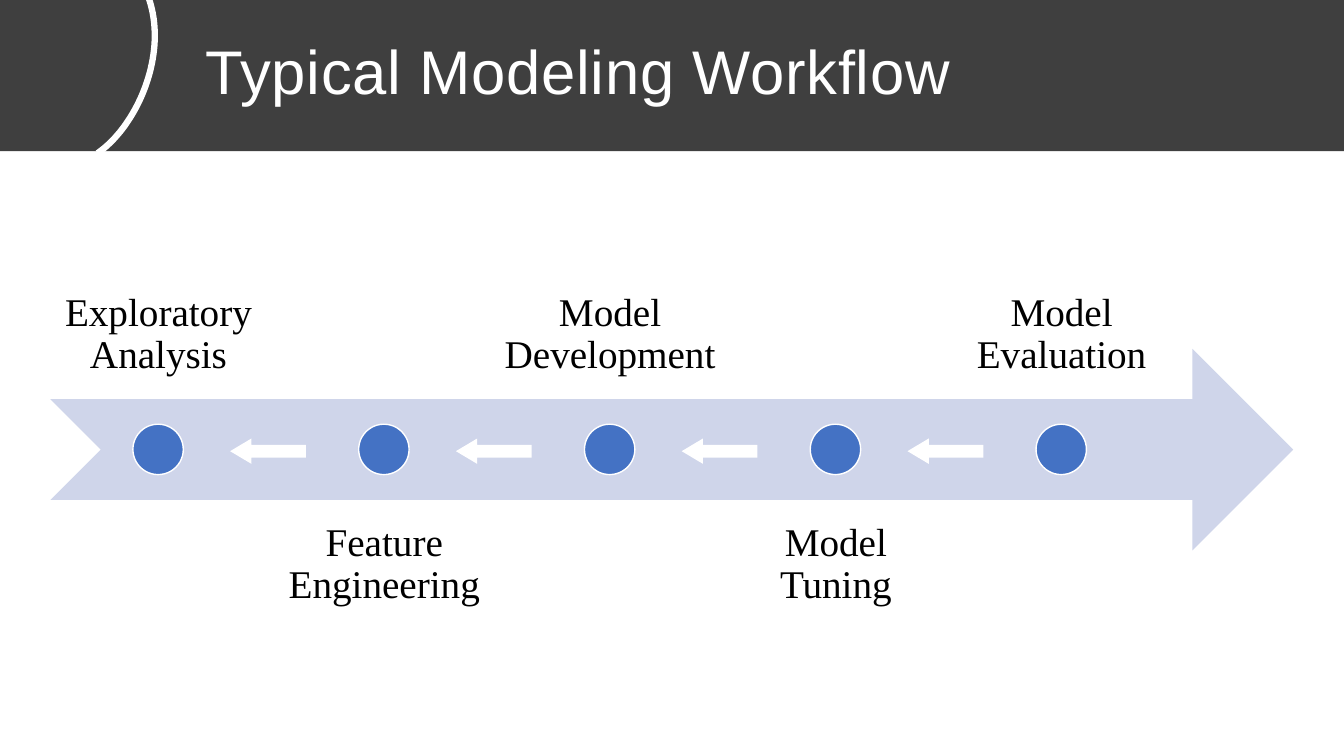
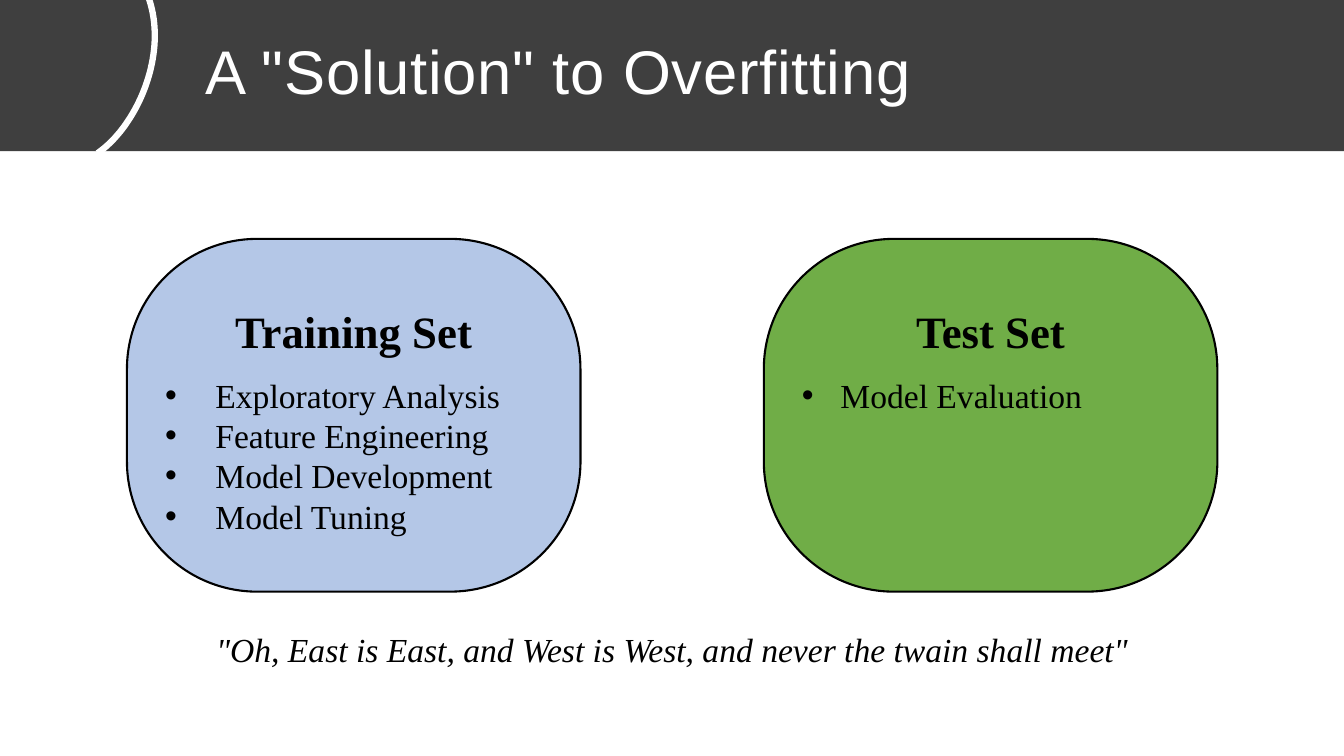
from dataclasses import dataclass

from lxml.etree import SubElement
from pptx import Presentation
from pptx.dml.color import RGBColor
from pptx.enum.shapes import MSO_SHAPE
from pptx.enum.text import MSO_ANCHOR, PP_ALIGN
from pptx.oxml.ns import qn
from pptx.shapes.autoshape import Shape
from pptx.slide import Slide
from pptx.text.text import TextFrame, _Paragraph
from pptx.util import Cm, Pt

COLORS = {
    "band": "3F3F3F",
    "white": "FFFFFF",
    "black": "000000",
    "timeline": "CFD5EA",
    "milestone": "4472C4",
    "training": "B4C7E7",
    "test": "70AD47",
}
TITLE_FONT = "Arial"
BODY_FONT = "Times New Roman"
SLIDE_WIDTH, SLIDE_HEIGHT = 33.87, 19.05

STAGES = ["Exploratory Analysis", "Feature Engineering", "Model Development",
          "Model Tuning", "Model Evaluation"]
STAGE_STEP = 5.69


@dataclass(frozen=True)
class Box:
    """A rectangle in centimetres."""
    left: float
    top: float
    width: float
    height: float

    def lengths(self) -> tuple[Cm, Cm, Cm, Cm]:
        return Cm(self.left), Cm(self.top), Cm(self.width), Cm(self.height)


@dataclass(frozen=True)
class Card:
    heading: str
    items: list[str]
    left: float
    fill: str
    indent: float


CARDS = [
    Card("Training Set", STAGES[:-1], 3.2, "training", 1.27),
    Card("Test Set", STAGES[-1:], 19.25, "test", 0.97),
]


def rgb(name: str) -> RGBColor:
    return RGBColor.from_string(COLORS[name])


def add_shape(slide: Slide, kind: MSO_SHAPE, box: Box, fill: str,
              line: str | None = None, line_width: float = 1) -> Shape:
    shape = slide.shapes.add_shape(kind, *box.lengths())
    shape.shadow.inherit = False
    shape.fill.solid()
    shape.fill.fore_color.rgb = rgb(fill)
    if line:
        shape.line.color.rgb = rgb(line)
        shape.line.width = Pt(line_width)
    else:
        shape.line.fill.background()
    return shape


def set_margins(frame: TextFrame, horizontal: float, vertical: float) -> None:
    frame.margin_left = frame.margin_right = Cm(horizontal)
    frame.margin_top = frame.margin_bottom = Cm(vertical)


def add_text_box(slide: Slide, box: Box, anchor: MSO_ANCHOR = MSO_ANCHOR.TOP) -> TextFrame:
    frame = slide.shapes.add_textbox(*box.lengths()).text_frame
    frame.word_wrap = True
    frame.vertical_anchor = anchor
    return frame


def write(paragraph: _Paragraph, text: str, size: float, color: str = "black",
          font: str = BODY_FONT, align: PP_ALIGN = PP_ALIGN.CENTER) -> None:
    paragraph.text = text
    paragraph.alignment = align
    paragraph.font.name = font
    paragraph.font.size = Pt(size)
    paragraph.font.color.rgb = rgb(color)


def add_bullet(paragraph: _Paragraph, indent: float) -> None:
    properties = paragraph._p.get_or_add_pPr()
    properties.set("marL", str(Cm(indent)))
    properties.set("indent", str(-Cm(indent)))
    SubElement(properties, qn("a:buFont"), typeface=TITLE_FONT)
    SubElement(properties, qn("a:buChar"), char="•")


def add_arc(slide: Slide) -> None:
    """Draw the white curve across the left end of the title band."""
    controls = [(2.46, 3.86), (3.45, 3.18), (4.27, 1.35), (3.73, -0.1)]
    steps = 40
    points = []
    for step in range(steps + 1):
        t = step / steps
        weights = ((1 - t) ** 3, 3 * t * (1 - t) ** 2, 3 * t ** 2 * (1 - t), t ** 3)
        x, y = (sum(w * point[axis] for w, point in zip(weights, controls))
                for axis in (0, 1))
        points.append((Cm(x), Cm(y)))
    builder = slide.shapes.build_freeform(*points[0])
    builder.add_line_segments(points[1:], close=False)
    arc = builder.convert_to_shape()
    arc.shadow.inherit = False
    arc.fill.background()
    arc.line.color.rgb = rgb("white")
    arc.line.width = Pt(4.5)


def add_titled_slide(presentation: Presentation, title: str) -> Slide:
    slide = presentation.slides.add_slide(presentation.slide_layouts[6])
    add_shape(slide, MSO_SHAPE.RECTANGLE, Box(0, 0, SLIDE_WIDTH, 3.81), "band")
    add_arc(slide)
    frame = add_text_box(slide, Box(3.91, 0.05, 29.96, 3.68), MSO_ANCHOR.MIDDLE)
    set_margins(frame, 1.27, 0)
    paragraph = frame.paragraphs[0]
    paragraph.line_spacing = 0.9
    write(paragraph, title, 44, "white", TITLE_FONT, PP_ALIGN.LEFT)
    paragraph.font._rPr.set("spc", "50")
    return slide


def add_stage(slide: Slide, index: int, name: str) -> None:
    """Draw a milestone dot with its label, alternately above and below."""
    offset = index * STAGE_STEP
    above = index % 2 == 0
    label = Box(1.29 + offset, 4.98 if above else 12.6, 5.41, 5.08)
    frame = add_text_box(slide, label, MSO_ANCHOR.BOTTOM if above else MSO_ANCHOR.TOP)
    set_margins(frame, 0, 0.56)
    frame.paragraphs[0].line_spacing = 0.9
    write(frame.paragraphs[0], name, 28)
    add_shape(slide, MSO_SHAPE.OVAL, Box(3.35 + offset, 10.69, 1.27, 1.27),
              "milestone", "white")


def add_back_arrow(slide: Slide, index: int) -> None:
    box = Box(5.8 + index * STAGE_STEP, 11.05, 1.91, 0.64)
    arrow = add_shape(slide, MSO_SHAPE.LEFT_ARROW, box, "white")
    arrow.adjustments[1] = 0.84


def add_card(slide: Slide, card: Card) -> None:
    shape = add_shape(slide, MSO_SHAPE.ROUNDED_RECTANGLE,
                      Box(card.left, 6.02, 11.43, 8.89), card.fill, "black", 1.5)
    shape.adjustments[0] = 0.369
    frame = shape.text_frame
    frame.vertical_anchor = MSO_ANCHOR.TOP
    set_margins(frame, 0, 0)
    frame.margin_top = Cm(0.68)
    heading = frame.paragraphs[0]
    heading.space_after = Pt(12)
    write(heading, card.heading, 32)
    heading.font.bold = True
    for item in card.items:
        paragraph = frame.add_paragraph()
        add_bullet(paragraph, card.indent)
        write(paragraph, item, 24, align=PP_ALIGN.LEFT)


def build_workflow(presentation: Presentation) -> None:
    slide = add_titled_slide(presentation, "Typical Modeling Workflow")
    add_shape(slide, MSO_SHAPE.NOTCHED_RIGHT_ARROW, Box(1.27, 8.79, 31.32, 5.08), "timeline")
    for index, name in enumerate(STAGES):
        add_stage(slide, index, name)
    for index in range(len(STAGES) - 1):
        add_back_arrow(slide, index)


def build_solution(presentation: Presentation) -> None:
    slide = add_titled_slide(presentation, 'A "Solution" to Overfitting')
    for card in CARDS:
        add_card(slide, card)
    quote = add_text_box(slide, Box(3.2, 15.72, 27.48, 1.27)).paragraphs[0]
    write(quote, '"Oh, East is East, and West is West, and never the twain shall meet"', 24)
    quote.font.italic = True


def main() -> None:
    presentation = Presentation()
    presentation.slide_width = Cm(SLIDE_WIDTH)
    presentation.slide_height = Cm(SLIDE_HEIGHT)
    build_workflow(presentation)
    build_solution(presentation)
    presentation.save("out.pptx")


if __name__ == "__main__":
    main()
